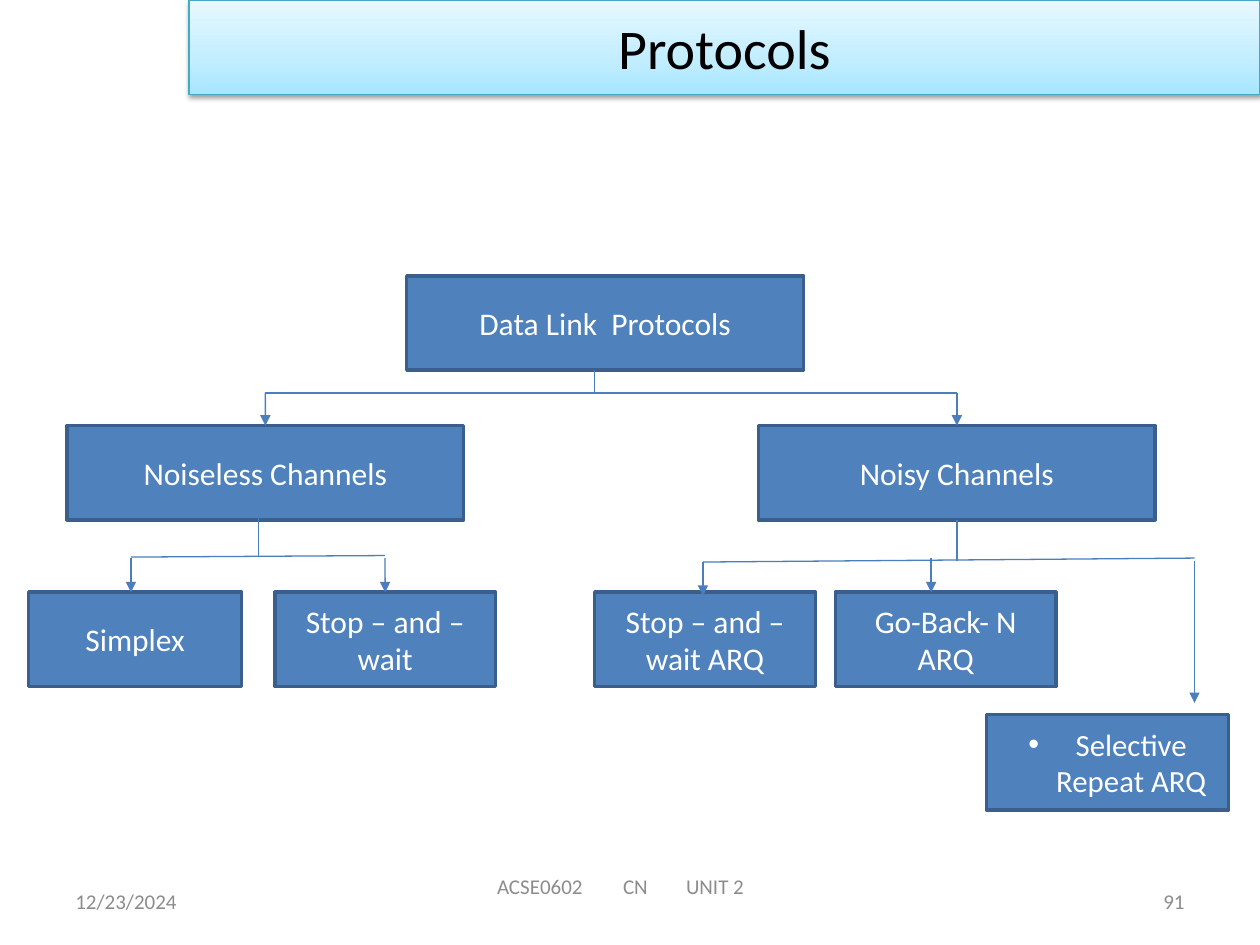
from collections import namedtuple
from copy import deepcopy

from lxml import etree
from pptx import Presentation
from pptx.dml.color import RGBColor
from pptx.enum.shapes import MSO_CONNECTOR, MSO_SHAPE
from pptx.enum.text import MSO_ANCHOR, PP_ALIGN
from pptx.oxml.ns import qn
from pptx.util import Cm, Pt

COLORS = {
    "box": "4F81BD", "edge": "3A5F8C", "line": "4B7EBC", "white": "FFFFFF",
    "black": "000000", "gray": "8C8C8C", "rim": "46AAC5",
    "low": "A7E6FF", "mid": "C1EDFF", "high": "E7F8FF",
}
WIDE, TALL = 8, 1.9  # main box size
LEAF = 4.45          # usual leaf width
DROP = 3.36          # from a parent's top to its leaves

Box = namedtuple("Box", "x y w h")


def color(name):
    return RGBColor.from_string(COLORS[name])


def add(parent, tag, **attrs):
    return etree.SubElement(parent, qn(tag), {k: str(v) for k, v in attrs.items()})


def place(box, x, y):
    return Cm(box.x + x), Cm(box.y + y)


def style(frame, size, ink, align):
    frame.word_wrap = True
    frame.vertical_anchor = MSO_ANCHOR.MIDDLE
    for para in frame.paragraphs:
        para.alignment = align
        for run in para.runs:
            run.font.name, run.font.size = "Calibri", Pt(size)
            run.font.color.rgb = color(ink)


def node(slide, box, x, y, text, w=WIDE, h=TALL, size=18):
    shape = slide.shapes.add_shape(MSO_SHAPE.RECTANGLE, *place(box, x, y), Cm(w), Cm(h))
    shape.shadow.inherit = False
    shape.fill.solid()
    shape.fill.fore_color.rgb = color("box")
    shape.line.color.rgb = color("edge")
    shape.line.width = Pt(2)
    shape.text_frame.text = text
    style(shape.text_frame, size, "white", PP_ALIGN.CENTER)
    return shape


def link(slide, box, start, end, arrow=False, above=None, below=None):
    line = slide.shapes.add_connector(
        MSO_CONNECTOR.STRAIGHT, *place(box, *start), *place(box, *end))
    line.line.color.rgb = color("line")
    line.line.width = Pt(0.75)
    if above:
        line.begin_connect(above, 2)
    if below:
        line.end_connect(below, 0)
    if arrow:
        add(line.line._get_or_add_ln(), "a:tailEnd", type="triangle")
    add(line._element.spPr, "a:effectLst")


def header(slide, box):
    title = slide.shapes.title
    title.left, title.top = place(box, 0, 0)
    title.width, title.height = Cm(box.w), Cm(box.h)
    title.text_frame.text = "Protocols"
    style(title.text_frame, 32, "black", PP_ALIGN.CENTER)
    # Gradient running upwards
    fill = title.fill
    fill.gradient()
    fill.gradient_angle = 90
    stops = title._element.spPr.find(qn("a:gradFill")).find(qn("a:gsLst"))
    stops.insert(1, deepcopy(stops[0]))
    for stop, name, pos in zip(fill.gradient_stops, ("low", "mid", "high"), (0, 0.35, 1)):
        stop.color.rgb = color(name)
        stop.position = pos
    title.line.color.rgb = color("rim")
    title.line.width = Pt(0.75)
    # Soft shadow below
    effects = add(title._element.spPr, "a:effectLst")
    shadow = add(effects, "a:outerShdw", blurRad=Pt(3.1), dist=Pt(1.6),
                 dir=5400000, rotWithShape=0)
    add(add(shadow, "a:srgbClr", val=COLORS["black"]), "a:alpha", val=38000)


def quiet(slide, box):
    """Noiseless channels and their leaves."""
    top = node(slide, box, 0.77, 0, "Noiseless Channels")
    node(slide, box, 0, DROP, "Simplex", 4.29)
    wait = node(slide, box, 4.96, DROP, "Stop – and – wait", LEAF)
    link(slide, box, (4.63, 1.81), (4.63, 2.62))
    link(slide, box, (2.06, 2.65), (7.18, 2.62))
    link(slide, box, (2.06, 2.67), (2.06, DROP), True)
    link(slide, box, (7.18, 2.67), (7.18, DROP), True, below=wait)
    return top


def noisy(slide, box):
    """Noisy channels and their leaves."""
    top = node(slide, box, 3.3, 0, "Noisy Channels")
    node(slide, box, 0, DROP, "Stop – and – wait ARQ", LEAF)
    node(slide, box, 4.85, DROP, "Go-Back- N ARQ", LEAF)
    last = node(slide, box, 7.9, 5.82, "Selective Repeat ARQ", 4.88, 1.93, 17.6)
    props = last.text_frame.paragraphs[0]._p.get_or_add_pPr()
    props.set("marL", str(Cm(0.95)))
    props.set("indent", str(Cm(-0.95)))
    add(props, "a:buFont", typeface="Arial")
    add(props, "a:buChar", char="•")
    link(slide, box, (7.3, TALL), (7.3, 2.72), above=top)
    link(slide, box, (2.18, 2.75), (12.09, 2.67))
    for x, start, end in ((2.18, 2.75, 3.43), (6.78, 2.67, DROP), (12.09, 2.72, 5.59)):
        link(slide, box, (x, start), (x, end), True)
    return top


def tree(slide, box):
    node(slide, box, 7.62, 0, "Data Link  Protocols")
    left = quiet(slide, Box(box.x, box.y + 3.02, 9.41, 5.26))
    right = noisy(slide, Box(box.x + 11.41, box.y + 3.02, 12.78, 7.75))
    link(slide, box, (11.41, TALL), (11.41, 2.36))
    link(slide, box, (4.77, 2.36), (18.71, 2.36))
    for x, child in ((4.77, left), (18.71, right)):
        link(slide, box, (x, 2.36), (x, 3.02), True, below=child)


def footer(slide, box):
    parts = (
        (0, 0.3, 5.92, "12/23/2024", PP_ALIGN.LEFT),
        (16.94, 0.3, 5.92, "91", PP_ALIGN.RIGHT),
        (5.08, 0, 13.97, "ACSE0602\tCN\tUNIT 2", PP_ALIGN.LEFT),
    )
    for x, y, w, text, align in parts:
        area = slide.shapes.add_textbox(*place(box, x, y), Cm(w), Cm(1.02))
        area.text_frame.text = text
        if "\t" in text:
            props = area.text_frame.paragraphs[0]._p.get_or_add_pPr()
            props.set("marL", str(Cm(3.42)))
            props.set("indent", "0")
            tabs = add(props, "a:tabLst")
            for stop in (6.84, 8.88):
                add(tabs, "a:tab", pos=Cm(stop), algn="l")
        style(area.text_frame, 12, "gray", align)


def main():
    deck = Presentation()
    deck.slide_width, deck.slide_height = Cm(25.4), Cm(19.05)
    slide = deck.slides.add_slide(deck.slide_layouts[5])
    header(slide, Box(3.81, 0, 21.59, 1.9))
    tree(slide, Box(0.58, 5.56, 24.19, 10.77))
    footer(slide, Box(1.27, 17.35, 22.86, 1.32))
    deck.save("out.pptx")


if __name__ == "__main__":
    main()
